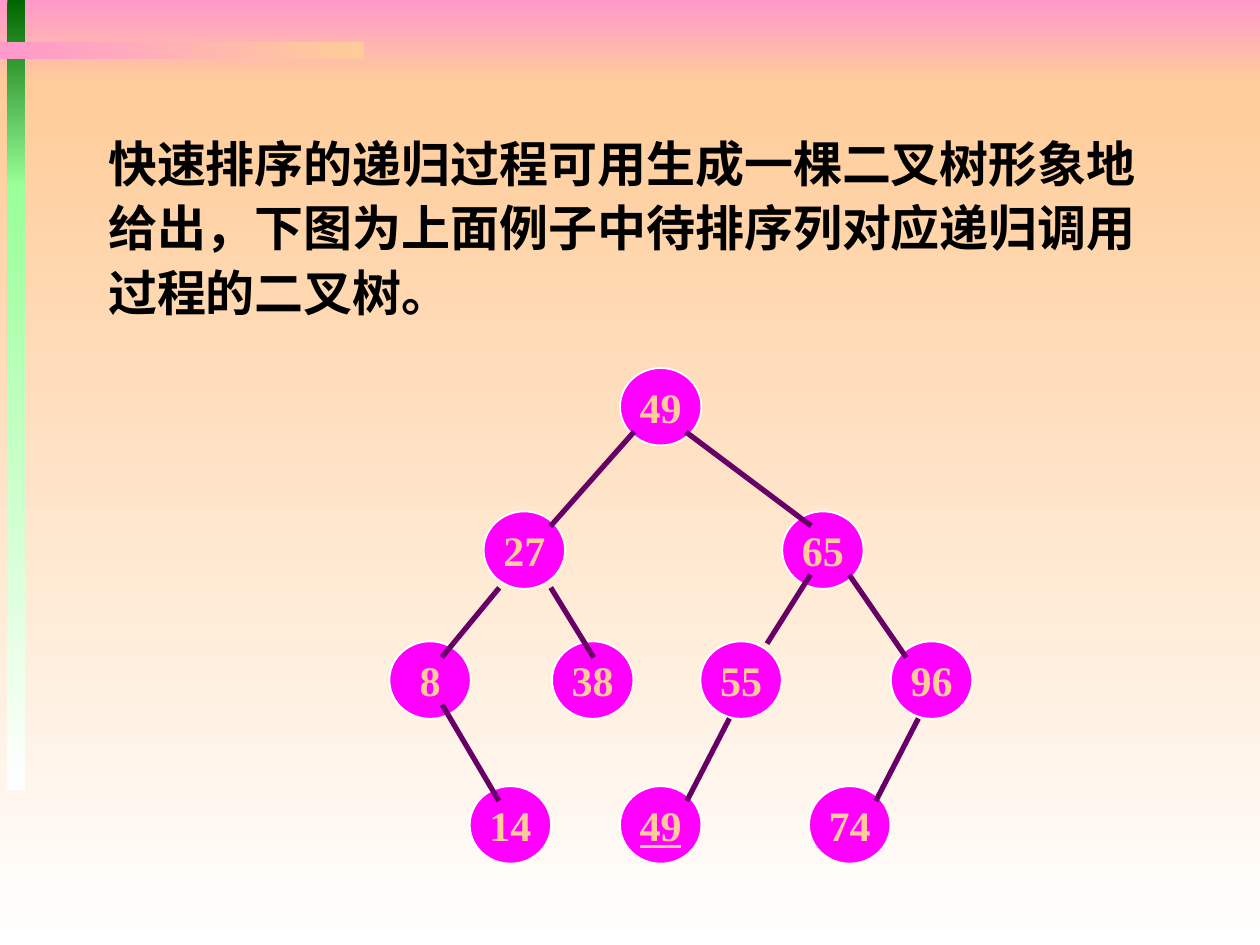
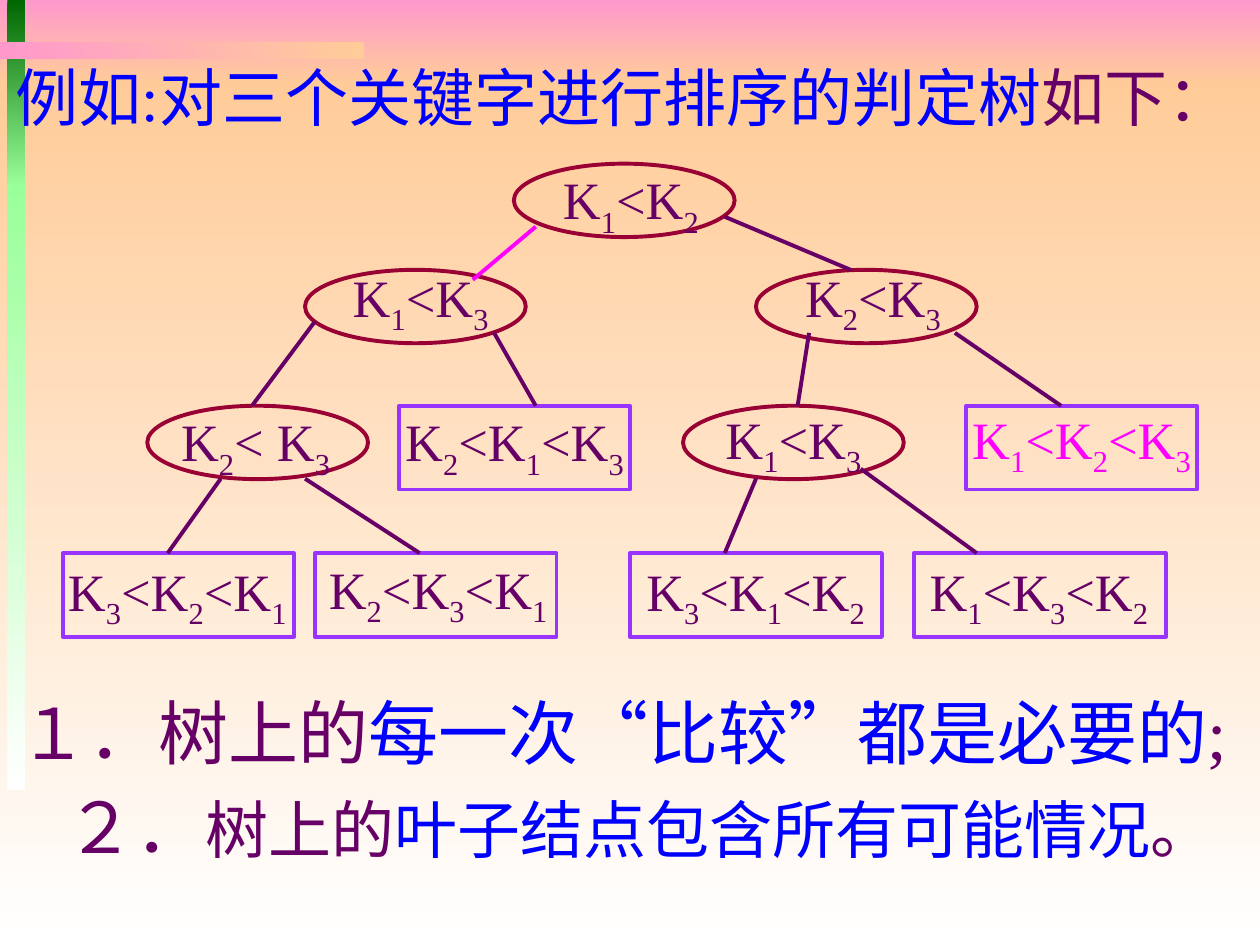
"""Build two slides on quicksort recursion and the decision tree of three keys."""
from dataclasses import dataclass
from itertools import groupby
from typing import Optional

from lxml.etree import SubElement
from pptx import Presentation
from pptx.dml.color import RGBColor
from pptx.enum.shapes import MSO_CONNECTOR as Connector, MSO_SHAPE as Preset
from pptx.enum.text import MSO_ANCHOR as Anchor, MSO_AUTO_SIZE as AutoSize, PP_ALIGN as Align
from pptx.oxml.ns import qn
from pptx.shapes.autoshape import Shape
from pptx.slide import Slide, SlideMaster
from pptx.text.text import TextFrame
from pptx.util import Cm, Pt

PINK = RGBColor(0xFF, 0x99, 0xCC)
PEACH = RGBColor(0xFF, 0xCC, 0x99)
WHITE = RGBColor(0xFF, 0xFF, 0xFF)
BLACK = RGBColor(0x00, 0x00, 0x00)
DARK_GREEN = RGBColor(0x00, 0x66, 0x00)
LIGHT_GREEN = RGBColor(0x99, 0xFF, 0x99)
MAGENTA = RGBColor(0xFF, 0x00, 0xFF)
PURPLE = RGBColor(0x66, 0x00, 0x66)
BLUE = RGBColor(0x00, 0x00, 0xFF)
CRIMSON = RGBColor(0x99, 0x00, 0x33)
VIOLET = RGBColor(0x99, 0x33, 0xFF)

LATIN_FONT = "Times New Roman"
CHINESE_FONT = "Noto Sans CJK SC"
LABEL_HEIGHT = 1.69
LABEL_WIDTHS = {5: 3.3, 6: 3.6, 8: 5}


@dataclass(frozen=True)
class Box:
    """Position and size in centimetres."""
    left: float
    top: float
    width: float
    height: float

    def lengths(self) -> tuple[Cm, Cm, Cm, Cm]:
        """Return the four lengths in drawing order."""
        return Cm(self.left), Cm(self.top), Cm(self.width), Cm(self.height)


@dataclass(frozen=True)
class Band:
    """Background strip with a two-colour gradient."""
    box: Box
    start: RGBColor
    end: RGBColor
    angle: int = 270


@dataclass(frozen=True)
class Span:
    """Stretch of text in one style."""
    text: str
    size: float
    color: RGBColor
    font: str = LATIN_FONT
    bold: bool = False
    underline: bool = False
    subscript: bool = False


@dataclass(frozen=True)
class Key:
    """Numbered circle of the recursion tree."""
    text: str
    left: float
    top: float
    underline: bool = False


@dataclass(frozen=True)
class Decision:
    """Comparison (ellipse) or result (rectangle) with an optionally offset label."""
    box: Box
    label: str
    label_at: Optional[tuple[float, float]] = None
    preset: Preset = Preset.OVAL
    outline: RGBColor = CRIMSON
    color: RGBColor = PURPLE


@dataclass(frozen=True)
class Edge:
    """Straight branch between two points."""
    x1: float
    y1: float
    x2: float
    y2: float
    color: RGBColor = PURPLE


def comparison(left: float, top: float, label: str,
               label_at: Optional[tuple[float, float]] = None) -> Decision:
    """Describe an inner node of the decision tree."""
    return Decision(Box(left, top, 4.45, 1.48), label, label_at)


def result(left: float, top: float, width: float, label: str,
           label_at: tuple[float, float], color: RGBColor = PURPLE) -> Decision:
    """Describe a leaf of the decision tree."""
    return Decision(Box(left, top, width, 1.69), label, label_at,
                    Preset.RECTANGLE, VIOLET, color)


BANDS = [
    Band(Box(0, 0, 25.4, 1.7), PINK, PEACH),
    Band(Box(0, 1.7, 25.4, 17.35), PEACH, WHITE),
    Band(Box(0.15, 0, 0.36, 3.76), DARK_GREEN, LIGHT_GREEN),
    Band(Box(0.15, 3.71, 0.36, 12.22), LIGHT_GREEN, WHITE),
    Band(Box(0, 0.84, 7.34, 0.36), PEACH, PINK, 180),
]

KEYS = [
    Key("49", 12.5, 7.42),
    Key("27", 9.75, 10.31), Key("65", 15.77, 10.31),
    Key("8", 7.85, 12.93), Key("38", 11.13, 12.93),
    Key("55", 14.12, 12.93), Key("96", 17.96, 12.93),
    Key("14", 9.47, 15.85), Key("49", 12.5, 15.85, True), Key("74", 16.31, 15.85),
]

KEY_EDGES = [
    Edge(12.75, 8.74, 11.13, 10.57), Edge(13.87, 8.74, 16.31, 10.57),
    Edge(10.03, 11.89, 8.94, 13.21), Edge(11.13, 11.89, 11.94, 13.21),
    Edge(16.31, 11.63, 15.49, 12.93), Edge(17.15, 11.63, 18.24, 13.21),
    Edge(8.94, 14.25, 10.03, 16.1), Edge(14.68, 14.53, 13.87, 16.1),
    Edge(18.49, 14.53, 17.68, 16.1),
]

DECISIONS = [
    comparison(10.36, 3.3, "K1<K2", (11.1, 3.25)),
    comparison(6.15, 5.44, "K1<K3", (6.86, 5.21)),
    comparison(15.24, 5.44, "K2<K3", (15.98, 5.21)),
    comparison(2.97, 8.18, "K2< K3", (3.4, 8.13)),
    comparison(13.77, 8.18, "K1<K3"),
    result(8.05, 8.18, 4.65, "K2<K1<K3", (7.92, 8.13)),
    result(19.48, 8.18, 4.65, "K1<K2<K3", (19.35, 8.08), MAGENTA),
    result(1.27, 11.15, 4.65, "K3<K2<K1", (1.12, 11.15)),
    result(6.35, 11.15, 4.87, "K2<K3<K1", (6.38, 11.1)),
    result(12.7, 11.15, 5.08, "K3<K1<K2", (12.78, 11.15)),
    result(18.42, 11.15, 5.08, "K1<K3<K2", (18.49, 11.15)),
]

DECISION_EDGES = [
    Edge(10.8, 4.57, 9.53, 5.64, MAGENTA), Edge(14.61, 4.37, 17.15, 5.44),
    Edge(6.35, 6.48, 5.08, 8.18), Edge(9.96, 6.71, 10.8, 8.18),
    Edge(16.31, 6.71, 16.08, 8.18), Edge(19.25, 6.71, 21.39, 8.18),
    Edge(4.45, 9.65, 3.38, 11.15), Edge(6.15, 9.65, 8.46, 11.15),
    Edge(15.24, 9.65, 14.61, 11.15), Edge(17.35, 9.45, 19.69, 11.15),
]

INTRODUCTION = Span(
    "快速排序的递归过程可用生成一棵二叉树形象地给出，下图为上面例子中待排序列对应递归调用过程的二叉树。",
    28, BLACK, CHINESE_FONT, bold=True)

STATEMENTS = [
    (Box(0.07, 1.05, 26.56, 1.78),
     [Span("例如:对三个关键字进行排序的判定树", 36, BLUE), Span("如下：", 36, PURPLE)]),
    (Box(0.13, 13.77, 25.2, 1.96),
     [Span("１．树上的", 40, PURPLE), Span("每一次“比较”都是必要的", 40, BLUE),
      Span(";", 40, PURPLE)]),
    (Box(1.07, 15.67, 23.65, 1.96),
     [Span("２．", 40, PURPLE), Span("树上的", 36, PURPLE),
      Span("叶子结点包含所有可能情况", 36, BLUE), Span("。", 36, PURPLE)]),
]


def write_spans(text_frame: TextFrame, spans: list[Span]) -> None:
    """Write styled spans into the first paragraph."""
    paragraph = text_frame.paragraphs[0]
    for span in spans:
        run = paragraph.add_run()
        run.text = span.text
        run.font.size = Pt(span.size)
        run.font.bold = span.bold
        run.font.underline = span.underline
        run.font.color.rgb = span.color
        run.font.name = span.font
        properties = run._r.get_or_add_rPr()
        SubElement(properties, qn("a:ea"), typeface=CHINESE_FONT)
        if span.subscript:
            properties.set("baseline", "-25000")


def label_spans(decision: Decision) -> list[Span]:
    """Split a label into letters and subscript digits."""
    return [Span("".join(characters), 30, decision.color, subscript=is_digit)
            for is_digit, characters in groupby(decision.label, str.isdigit)]


def add_text(slide: Slide, box: Box, spans: list[Span], wrap: bool = False) -> TextFrame:
    """Add a text box that grows with its text."""
    text_frame = slide.shapes.add_textbox(*box.lengths()).text_frame
    text_frame.word_wrap = wrap
    text_frame.auto_size = AutoSize.SHAPE_TO_FIT_TEXT
    write_spans(text_frame, spans)
    return text_frame


def add_preset(slide: Slide, preset: Preset, box: Box) -> Shape:
    """Add a preset shape without a shadow."""
    shape = slide.shapes.add_shape(preset, *box.lengths())
    shape.shadow.inherit = False
    return shape


def center_text(shape: Shape, spans: list[Span]) -> None:
    """Write centred text inside a shape."""
    text_frame = shape.text_frame
    text_frame.word_wrap = False
    text_frame.vertical_anchor = Anchor.MIDDLE
    text_frame.paragraphs[0].alignment = Align.CENTER
    write_spans(text_frame, spans)


def add_edge(slide: Slide, edge: Edge, weight: float, cap: str) -> None:
    """Draw one branch."""
    connector = slide.shapes.add_connector(
        Connector.STRAIGHT, Cm(edge.x1), Cm(edge.y1), Cm(edge.x2), Cm(edge.y2))
    connector.line.color.rgb = edge.color
    connector.line.width = Pt(weight)
    properties = connector.element.spPr
    properties.find(qn("a:ln")).set("cap", cap)
    SubElement(properties, qn("a:effectLst"))


def move_bands_to_master(slide: Slide, master: SlideMaster) -> None:
    """Draw the shared bands and hand them to the slide master."""
    for number, band in enumerate(BANDS, start=101):
        shape = add_preset(slide, Preset.RECTANGLE, band.box)
        shape.line.fill.background()
        shape.fill.gradient()
        shape.fill.gradient_angle = band.angle
        for stop, color in zip(shape.fill.gradient_stops, (band.start, band.end)):
            stop.color.rgb = color
        shape.element.nvSpPr.cNvPr.set("id", str(number))
        master.element.cSld.spTree.append(shape.element)


def add_key(slide: Slide, key: Key) -> None:
    """Draw one numbered circle."""
    shape = add_preset(slide, Preset.OVAL, Box(key.left, key.top, 1.64, 1.56))
    shape.fill.solid()
    shape.fill.fore_color.rgb = MAGENTA
    shape.line.color.rgb = WHITE
    shape.line.width = Pt(1)
    center_text(shape, [Span(key.text, 24, PEACH, bold=True, underline=key.underline)])


def add_decision(slide: Slide, decision: Decision) -> None:
    """Draw one outlined node with its label."""
    shape = add_preset(slide, decision.preset, decision.box)
    shape.fill.background()
    shape.line.color.rgb = decision.outline
    shape.line.width = Pt(2.25)
    spans = label_spans(decision)
    if decision.label_at is None:
        center_text(shape, spans)
    else:
        width = LABEL_WIDTHS[len(decision.label)]
        add_text(slide, Box(*decision.label_at, width, LABEL_HEIGHT), spans)


def build_recursion_tree(slide: Slide) -> None:
    """Fill the slide on the recursion tree."""
    text_frame = add_text(slide, Box(1.93, 2.44, 22.15, 4.17), [INTRODUCTION], wrap=True)
    text_frame.paragraphs[0].line_spacing = 1.1
    for key in KEYS:
        add_key(slide, key)
    for edge in KEY_EDGES:
        add_edge(slide, edge, 3, "sq")


def build_decision_tree(slide: Slide) -> None:
    """Fill the slide on the decision tree."""
    for box, spans in STATEMENTS:
        add_text(slide, box, spans)
    for decision in DECISIONS:
        add_decision(slide, decision)
    for edge in DECISION_EDGES:
        add_edge(slide, edge, 2.25, "flat")


def main() -> None:
    """Create and save the presentation."""
    presentation = Presentation()
    presentation.slide_width, presentation.slide_height = Cm(25.4), Cm(19.05)
    blank = presentation.slide_layouts[6]
    recursion_slide = presentation.slides.add_slide(blank)
    move_bands_to_master(recursion_slide, presentation.slide_master)
    build_recursion_tree(recursion_slide)
    build_decision_tree(presentation.slides.add_slide(blank))
    presentation.save("out.pptx")


if __name__ == "__main__":
    main()
